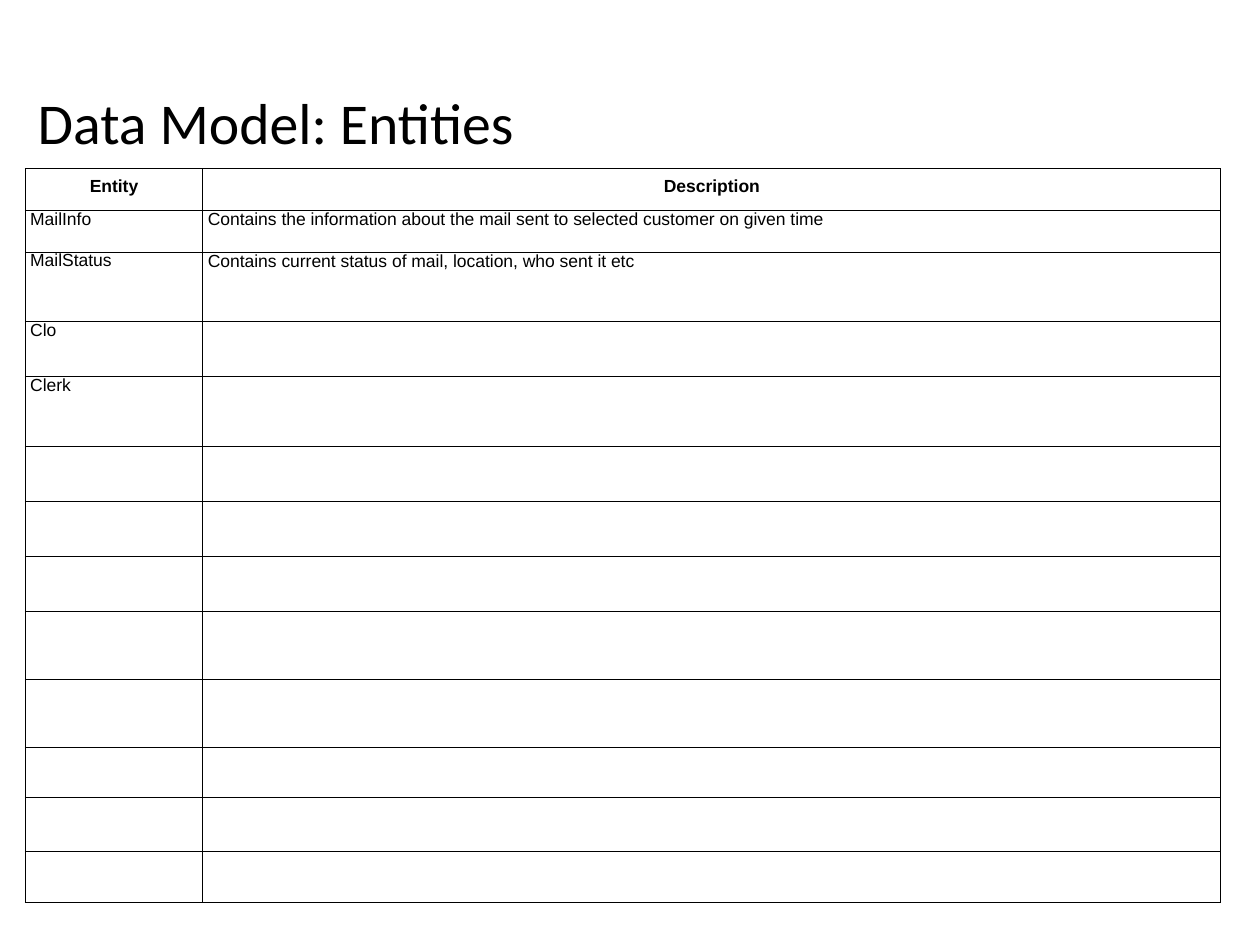
from typing import NamedTuple

from lxml import etree
from pptx import Presentation
from pptx import util as u
from pptx.dml.color import RGBColor
from pptx.enum import text
from pptx.oxml.ns import qn

BLACK = RGBColor(0x00, 0x00, 0x00)
TITLE_FONT = {"name": "Calibri", "size": u.Pt(33), "bold": False}
HEADER_FONT = {"name": "Arial", "size": u.Pt(10), "bold": True}
BODY_FONT = {**HEADER_FONT, "bold": False}
CELL_FORMAT = {
    "margin_left": u.Inches(0.04),
    "margin_right": u.Inches(0.04),
    "margin_top": u.Inches(0.05),
    "margin_bottom": u.Inches(0.05),
}
LEFT, WIDTH = u.Inches(0.2), u.Inches(9.49)
COLUMN_WIDTHS = (1.41, 8.08)
BORDER_WIDTH = u.Pt(0.57)


class Entity(NamedTuple):
    height: float
    name: str = ""
    description: str = ""
    description_spacing: float = 0.54


HEADER = Entity(0.33, "Entity", "Description")
ENTITIES = [
    Entity(0.33, "MailInfo",
           "Contains the information about the mail sent to selected customer on given time"),
    Entity(0.55, "MailStatus",
           "Contains current status of mail, location, who sent it etc", 0.58),
    Entity(0.44, "Clo"),
    Entity(0.55, "Clerk"),
    *(Entity(height) for height in (0.44, 0.44, 0.43, 0.54, 0.54, 0.37, 0.43, 0.37)),
]


def write(paragraph, content: str, font: dict, spacing: float, alignment) -> None:
    paragraph.text = content
    paragraph.line_spacing = spacing
    paragraph.alignment = alignment
    run_font = paragraph.runs[0].font
    for name, value in font.items():
        setattr(run_font, name, value)
    run_font.color.rgb = BLACK


def add_borders(cell) -> None:
    properties = cell._tc.get_or_add_tcPr()
    for position, side in enumerate(("lnL", "lnR", "lnT", "lnB")):
        line = etree.Element(qn(f"a:{side}"), w=str(int(BORDER_WIDTH)))
        fill = etree.SubElement(line, qn("a:solidFill"))
        etree.SubElement(fill, qn("a:srgbClr"), val=str(BLACK))
        properties.insert(position, line)


def add_title(slide, content: str) -> None:
    box = slide.shapes.add_textbox(LEFT, u.Inches(0.65), WIDTH, u.Inches(0.69))
    frame = box.text_frame
    frame.word_wrap = True
    frame.vertical_anchor = text.MSO_ANCHOR.MIDDLE
    write(frame.paragraphs[0], content, TITLE_FONT, 0.9, text.PP_ALIGN.LEFT)


def add_entity_table(slide, rows: list[Entity]) -> None:
    height = u.Inches(sum(row.height for row in rows))
    table = slide.shapes.add_table(
        len(rows), len(COLUMN_WIDTHS), LEFT, u.Inches(1.34), WIDTH, height).table
    table.first_row = table.horz_banding = False
    for column, width in zip(table.columns, COLUMN_WIDTHS):
        column.width = u.Inches(width)

    for row_index, entity in enumerate(rows):
        table.rows[row_index].height = u.Inches(entity.height)
        is_header = row_index == 0
        font = HEADER_FONT if is_header else BODY_FONT
        alignment = text.PP_ALIGN.CENTER if is_header else text.PP_ALIGN.LEFT
        anchor = text.MSO_ANCHOR.MIDDLE if is_header else text.MSO_ANCHOR.TOP
        contents = ((entity.name, 0.54), (entity.description, entity.description_spacing))
        for column_index, (content, spacing) in enumerate(contents):
            cell = table.cell(row_index, column_index)
            for name, value in CELL_FORMAT.items():
                setattr(cell, name, value)
            cell.vertical_anchor = anchor
            cell.fill.background()
            add_borders(cell)
            if content:
                write(cell.text_frame.paragraphs[0], content, font, spacing, alignment)


def main() -> None:
    presentation = Presentation()
    presentation.slide_width = u.Inches(10)
    presentation.slide_height = u.Inches(7.5)
    slide = presentation.slides.add_slide(presentation.slide_layouts[6])
    add_title(slide, "Data Model: Entities")
    add_entity_table(slide, [HEADER, *ENTITIES])
    presentation.save("out.pptx")


if __name__ == "__main__":
    main()
